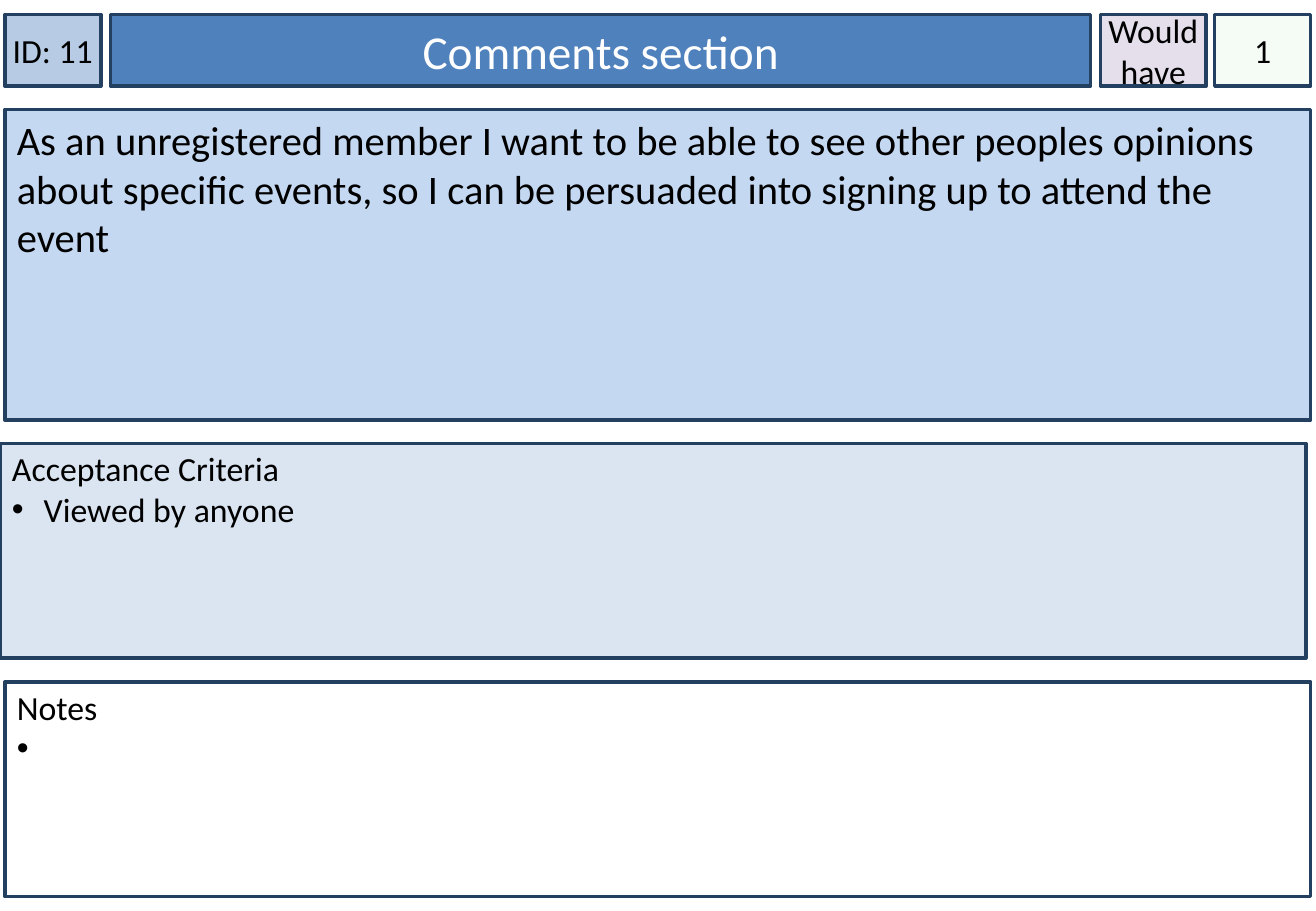
from lxml import etree
from pptx import Presentation
from pptx.dml.color import RGBColor
from pptx.enum import shapes, text
from pptx.oxml.ns import qn
from pptx.util import Pt

HUES = {
    "edge": "244061", "ink": "000000", "white": "FFFFFF", "id": "B7CCE4",
    "title": "4F81BD", "story": "C5D8F1", "tests": "DAE5F1",
    "rank": "E5DFEC", "points": "CCF0CD",
}


def hue(name):
    return RGBColor.from_string(HUES[name])


def write(box, lines, fill, size=20, ink="ink", center=False, side=7.2, top=3.6):
    """Style a card box and fill it; lines after the first get bullets."""
    box.fill.solid()
    box.fill.fore_color.rgb = hue(fill)
    box.line.color.rgb = hue("edge")
    box.line.width = Pt(2)
    frame = box.text_frame
    frame.word_wrap = True
    frame.auto_size = text.MSO_AUTO_SIZE.NONE
    frame.margin_left = frame.margin_right = Pt(side)
    frame.margin_top, frame.margin_bottom = Pt(top), Pt(3.6)
    anchor = text.MSO_ANCHOR
    frame.vertical_anchor = anchor.MIDDLE if center else anchor.TOP
    for i, line in enumerate(lines):
        para = frame.add_paragraph() if i else frame.paragraphs[0]
        para.alignment = text.PP_ALIGN.CENTER if center else text.PP_ALIGN.LEFT
        if i:
            props = para._p.get_or_add_pPr()
            props.set("marL", str(Pt(18.8)))
            props.set("indent", str(-Pt(18.8)))
            tint = etree.SubElement(props, qn("a:buClr"))
            etree.SubElement(tint, qn("a:srgbClr"), val=HUES["ink"])
            etree.SubElement(props, qn("a:buFont"), typeface="Arial")
            etree.SubElement(props, qn("a:buChar"), char="•")
        run = para.add_run()
        run.text = line
        run.font.name = "Calibri"
        run.font.size = Pt(size)
        run.font.color.rgb = hue(ink)


deck = Presentation()
deck.slide_width, deck.slide_height = Pt(780), Pt(540)
slide = deck.slides.add_slide(deck.slide_layouts[5])

# Header row
TOP, HIGH = 8.6, 42.5
title = slide.shapes.title
title.left, title.top = Pt(65.5), Pt(TOP)
title.width, title.height = Pt(581), Pt(HIGH)
write(title, ["Comments section"], "title", size=28, ink="white", center=True)

badge = dict(center=True, side=0)
tall = dict(top=2.9)
cards = [
    (2.9, TOP, 56.9, HIGH, ["ID: 11"], "id", badge),
    (652.3, TOP, 62.6, HIGH, ["Would have"], "rank", badge),
    (720, TOP, 56.9, HIGH, ["1"], "points", badge),
    (2.9, 64.8, 774, 184.3,
     ["As an unregistered member I want to be able to see other peoples opinions "
      "about specific events, so I can be persuaded into signing up to attend the event"],
     "story", dict(size=24)),
    (0, 262.8, 774, 127.4, ["Acceptance Criteria", "Viewed by anyone"], "tests", tall),
    (2.9, 404.2, 774, 127.4, ["Notes", " "], "white", tall),
]
for left, top, wide, high, lines, fill, style in cards:
    box = slide.shapes.add_shape(
        shapes.MSO_SHAPE.RECTANGLE, Pt(left), Pt(top), Pt(wide), Pt(high))
    box.shadow.inherit = False
    write(box, lines, fill, **style)
    if fill == "points":
        color = box._element.spPr.find(qn("a:solidFill"))[0]
        etree.SubElement(color, qn("a:alpha"), val="20000")

deck.save("out.pptx")
